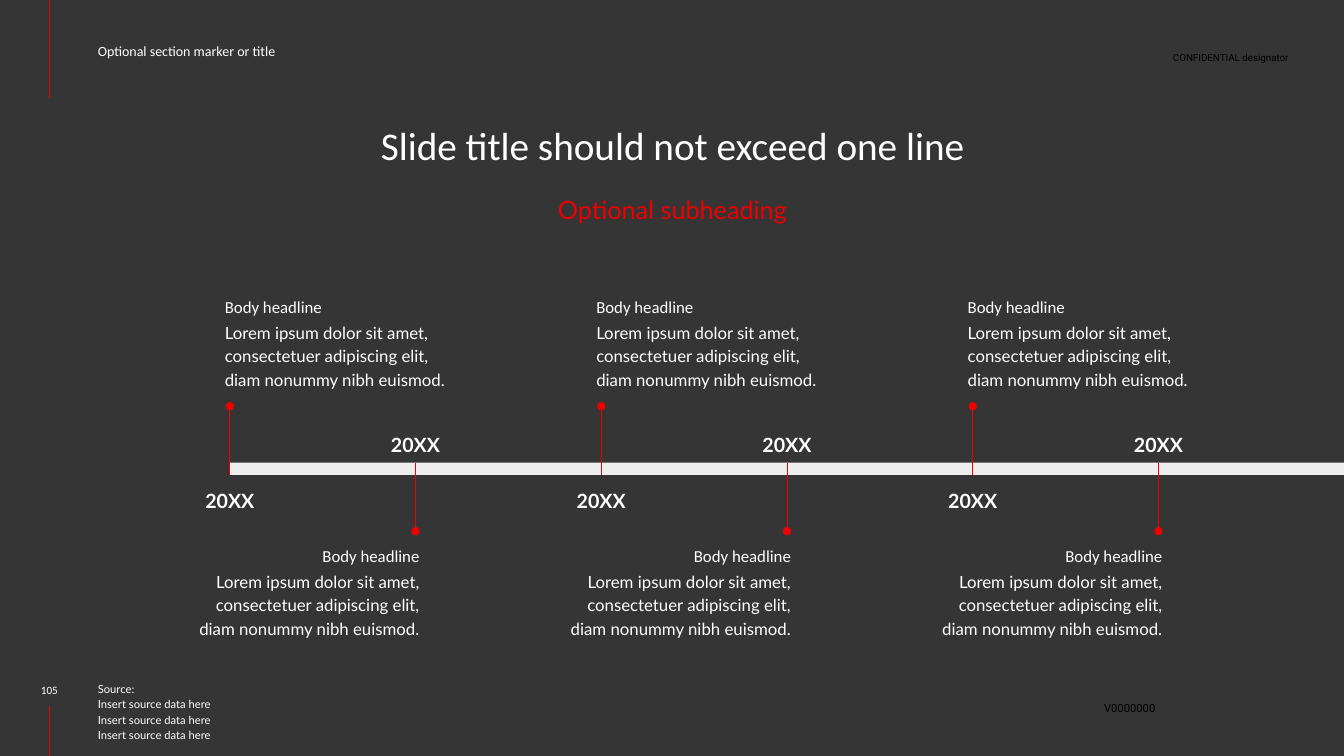
from dataclasses import dataclass

from lxml.etree import SubElement
from pptx import Presentation
from pptx.dml.color import RGBColor
from pptx.enum.shapes import MSO_CONNECTOR, MSO_SHAPE
from pptx.enum.text import MSO_ANCHOR, PP_ALIGN
from pptx.oxml.ns import qn
from pptx.util import Inches, Pt

COLUMNS, ROWS = 133.3, 75
CELL = Inches(7.5) / ROWS


@dataclass(frozen=True)
class Theme:
    background: str = "353535"
    text: str = "FFFFFF"
    marking: str = "000000"
    accent: str = "EE0000"
    axis: str = "EEEEEE"
    main_font: str = "Calibri"
    body_font: str = "Lato"
    marking_font: str = "Roboto"
    title_size: float = 28
    subtitle_size: float = 18
    year_size: float = 14
    body_size: float = 12
    section_size: float = 10
    small_size: float = 8
    confidential_size: float = 7
    line_width: float = 0.75


@dataclass(frozen=True)
class Box:
    left: float
    top: float
    width: float
    height: float

    def inside(self, left, top, width, height):
        return Box(self.left + left, self.top + top, width, height)

    def lengths(self):
        return [grid(value) for value in (self.left, self.top, self.width, self.height)]


THEME = Theme()


def grid(cells):
    return round(cells * CELL)


def color(value):
    return RGBColor.from_string(value)


def add_text(slide, box, lines, size, font=THEME.main_font, fill=THEME.text,
             align=PP_ALIGN.LEFT, anchor=MSO_ANCHOR.TOP, spacing=1.0, bold=False):
    text_frame = slide.shapes.add_textbox(*box.lengths()).text_frame
    text_frame.word_wrap = True
    text_frame.vertical_anchor = anchor
    text_frame.margin_left = text_frame.margin_right = 0
    text_frame.margin_top = text_frame.margin_bottom = 0
    text_frame.text = lines
    for paragraph in text_frame.paragraphs:
        paragraph.alignment = align
        paragraph.line_spacing = spacing
        for run in paragraph.runs:
            run.font.size = Pt(size)
            run.font.name = font
            run.font.bold = bold
            run.font.color.rgb = color(fill)
    return text_frame


def add_line(slide, x, start, end, dotted=False):
    connector = slide.shapes.add_connector(
        MSO_CONNECTOR.STRAIGHT, grid(x), grid(start), grid(x), grid(end))
    connector.line.color.rgb = color(THEME.accent)
    connector.line.width = Pt(THEME.line_width)
    if dotted:
        SubElement(connector.line._get_or_add_ln(), qn("a:tailEnd"), type="oval")
    SubElement(connector._element.spPr, qn("a:effectLst"))


def add_header(slide, box):
    add_line(slide, box.left + 4.9, box.top + box.height, box.top)
    add_text(slide, box.inside(9.7, 0.6, 50.5, 8.9), "Optional section marker or title",
             THEME.section_size, anchor=MSO_ANCHOR.MIDDLE)
    add_text(slide, box.inside(105.8, 3, 22, 3.3), "CONFIDENTIAL designator",
             THEME.confidential_size, THEME.marking_font, THEME.marking,
             PP_ALIGN.RIGHT, MSO_ANCHOR.BOTTOM, 1.5)


def add_heading(slide, box):
    add_text(slide, box.inside(0, 0, box.width, 6), "Slide title should not exceed one line",
             THEME.title_size, align=PP_ALIGN.CENTER)
    subtitle = add_text(slide, box.inside(0, 6.1, box.width, 3.2), "Optional subheading",
                        THEME.subtitle_size, THEME.body_font, THEME.accent,
                        PP_ALIGN.CENTER, spacing=1.4)
    subtitle.paragraphs[0].space_after = Pt(5)


def add_milestone(slide, box, x, above):
    if above:
        left, align = x - 0.5, PP_ALIGN.LEFT
        headline_top, year_top, line_start, line_end = 0, 20.9, 19.8, 13
    else:
        left, align = x - 22.6, PP_ALIGN.RIGHT
        headline_top, year_top, line_start, line_end = 24.7, 15.3, 18.6, 25.4
    add_line(slide, box.left + x, box.top + line_start, box.top + line_end, dotted=True)
    add_text(slide, box.inside(left, headline_top, 23, 4.1), "Body headline",
             THEME.body_size, align=align, anchor=MSO_ANCHOR.BOTTOM, spacing=1.15)
    add_text(slide, box.inside(left, headline_top + 4.45, 23, 7.4),
             "Lorem ipsum dolor sit amet, consectetuer adipiscing elit, "
             "diam nonummy nibh euismod.",
             THEME.body_size, THEME.body_font, align=align, spacing=1.15)
    add_text(slide, box.inside(x - 5.35, year_top, 10.7, 2.6), "20XX",
             THEME.year_size, THEME.body_font, align=PP_ALIGN.CENTER,
             anchor=MSO_ANCHOR.MIDDLE, spacing=1.15, bold=True)


def add_timeline(slide, box):
    axis = slide.shapes.add_shape(
        MSO_SHAPE.RECTANGLE, *box.inside(0, 18.6, box.width, 1.2).lengths())
    axis.shadow.inherit = False
    axis.fill.solid()
    axis.fill.fore_color.rgb = color(THEME.axis)
    axis.line.fill.background()
    for index in range(6):
        add_milestone(slide, box, index * 18.42, above=index % 2 == 0)


def add_footer(slide, box):
    add_line(slide, box.left + 4.9, box.top + box.height, box.top + 2.5)
    add_text(slide, box.inside(0.9, 0, 8, 1.6), "105", THEME.small_size,
             align=PP_ALIGN.CENTER, anchor=MSO_ANCHOR.BOTTOM)
    add_text(slide, box.inside(9.7, 0, 87.5, 6.1),
             "\n".join(["Source:"] + ["Insert source data here"] * 3),
             THEME.small_size, THEME.body_font, anchor=MSO_ANCHOR.BOTTOM, spacing=1.15)
    add_text(slide, box.inside(106.6, 1.5, 8, 2.5), "V0000000", THEME.small_size,
             THEME.marking_font, THEME.marking, PP_ALIGN.RIGHT, MSO_ANCHOR.MIDDLE)


def main():
    presentation = Presentation()
    presentation.slide_width = grid(COLUMNS)
    presentation.slide_height = grid(ROWS)
    slide = presentation.slides.add_slide(presentation.slide_layouts[6])
    slide.background.fill.solid()
    slide.background.fill.fore_color.rgb = color(THEME.background)
    add_header(slide, Box(0, 0, COLUMNS, 9.7))
    add_heading(slide, Box(9.7, 12, 114, 9.3))
    add_timeline(slide, Box(22.8, 27.3, COLUMNS - 22.8, 36.5))
    add_footer(slide, Box(0, 67.5, COLUMNS, 7.5))
    presentation.save("out.pptx")


if __name__ == "__main__":
    main()
